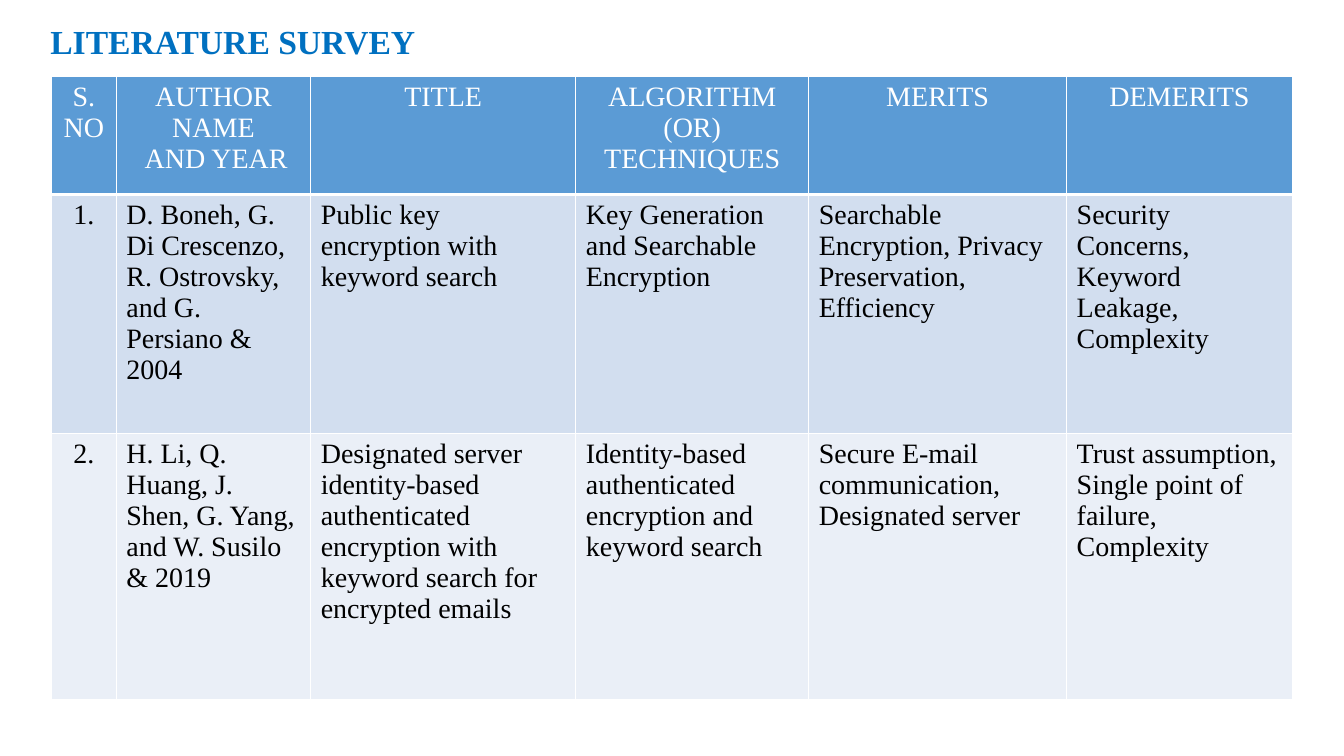
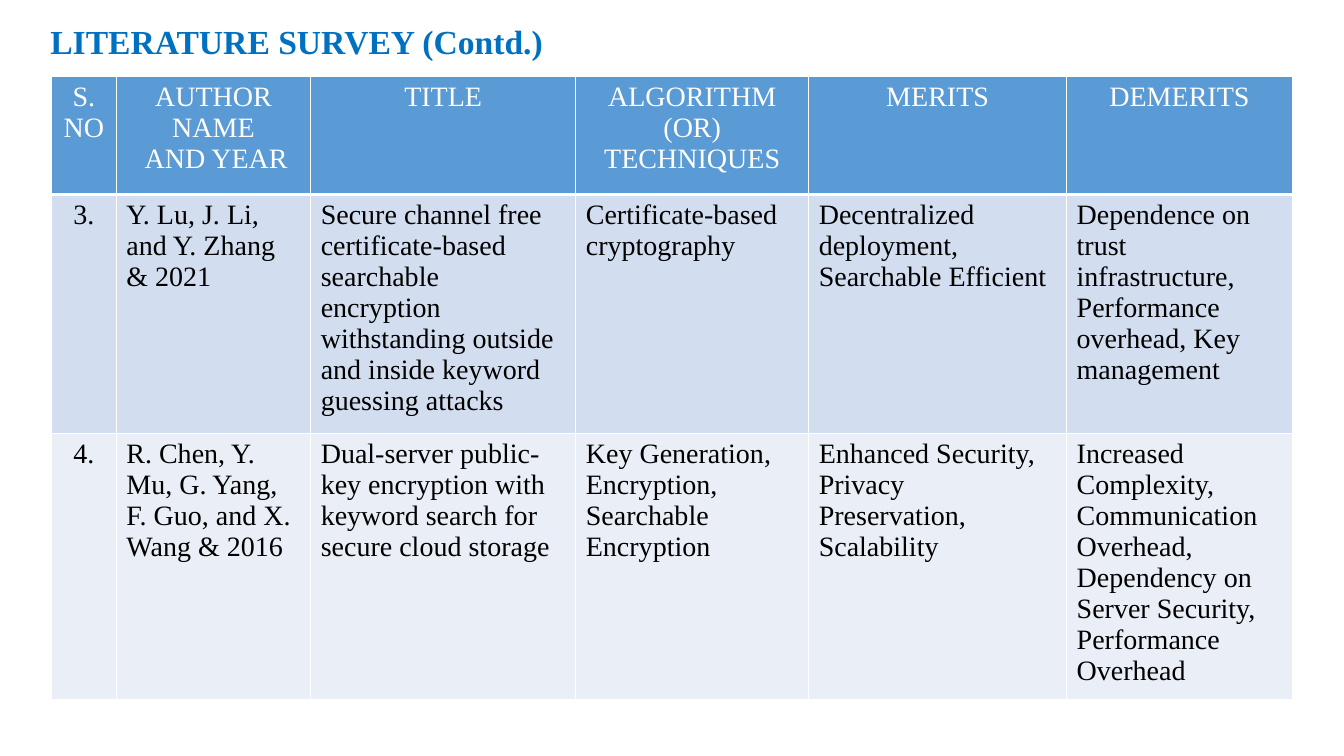
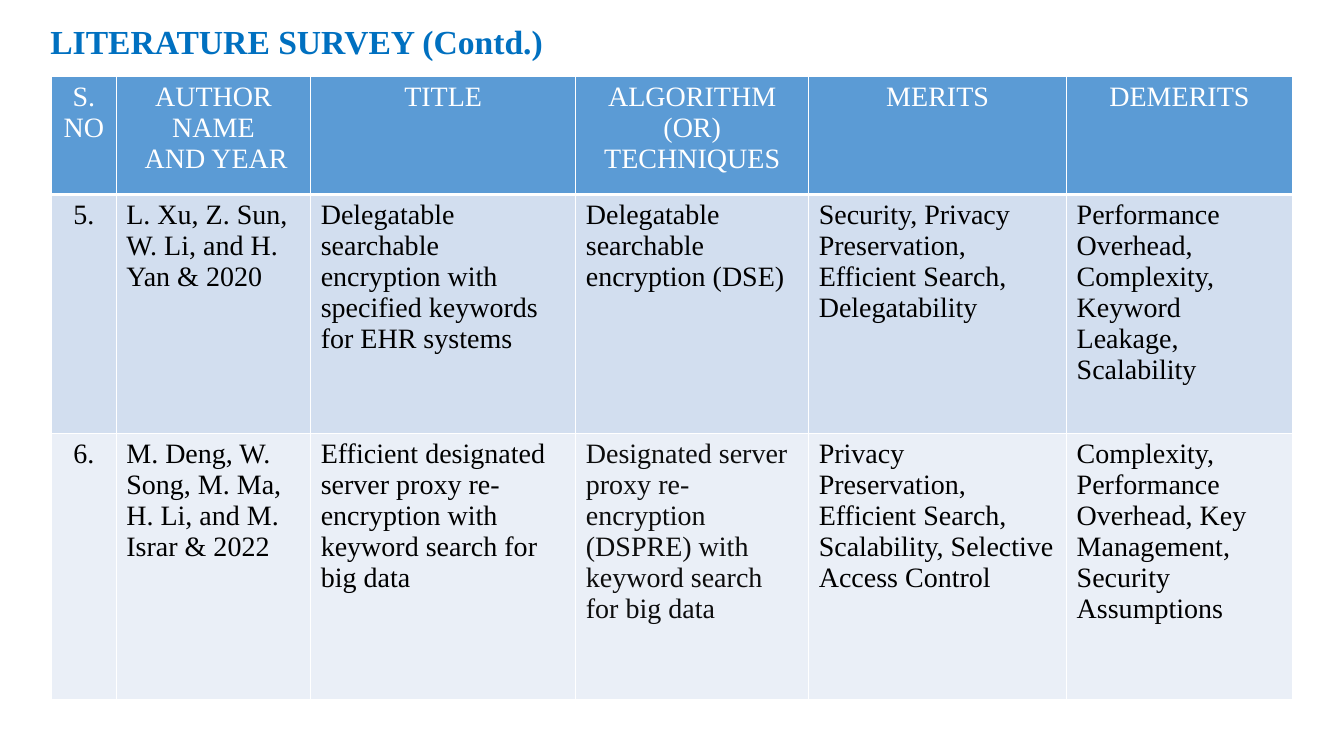
from lxml.etree import SubElement
from pptx import Presentation
from pptx.dml.color import RGBColor
from pptx.enum.text import MSO_AUTO_SIZE, PP_ALIGN
from pptx.oxml.ns import qn
from pptx.util import Cm, Pt

FONT = "Times New Roman"
TITLE_BLUE = RGBColor(0x00, 0x70, 0xC0)
HEADER_BLUE = RGBColor(0x5B, 0x9B, 0xD5)
BAND_DARK = RGBColor(0xD2, 0xDE, 0xEF)
BAND_LIGHT = RGBColor(0xEA, 0xEF, 0xF7)
WHITE = RGBColor(0xFF, 0xFF, 0xFF)
BLACK = RGBColor(0x00, 0x00, 0x00)
NEAR_BLACK = RGBColor(0x0D, 0x0D, 0x0D)

ROW_FILLS = [HEADER_BLUE, BAND_DARK, BAND_LIGHT]
ROW_HEIGHTS = [Cm(2.97), Cm(6.02), Cm(6.71)]
COLUMN_WIDTHS = [Cm(1.63), Cm(4.9), Cm(6.68), Cm(5.87), Cm(6.5), Cm(5.69)]
HEADERS = ["S. NO", "AUTHOR NAME\n AND YEAR", "TITLE",
           "ALGORITHM (OR)\nTECHNIQUES", "MERITS", "DEMERITS"]

# Title, title width, then the surveyed papers
SURVEY_SLIDES = [
    ("LITERATURE SURVEY", Cm(9.8), [
        ["1.",
         "D. Boneh, G. Di Crescenzo, R. Ostrovsky, and G. Persiano & 2004",
         "Public key encryption with keyword search",
         "Key Generation and Searchable Encryption",
         "Searchable Encryption, Privacy Preservation, Efficiency",
         "Security Concerns, Keyword Leakage, Complexity"],
        ["2.",
         "H. Li, Q. Huang, J. Shen, G. Yang, and W. Susilo & 2019",
         "Designated server identity-based authenticated encryption "
         "with keyword search for encrypted emails",
         "Identity-based authenticated encryption and keyword search",
         "Secure E-mail communication, Designated server",
         "Trust assumption, Single point of failure, Complexity"],
    ]),
    ("LITERATURE SURVEY (Contd.)", Cm(13.06), [
        ["3.",
         "Y. Lu, J. Li, and Y. Zhang & 2021",
         "Secure channel free certificate-based searchable encryption "
         "withstanding outside and inside keyword guessing attacks",
         "Certificate-based cryptography",
         "Decentralized deployment, Searchable Efficient",
         "Dependence on trust infrastructure, Performance overhead, "
         "Key management"],
        ["4.",
         "R. Chen, Y. Mu, G. Yang, F. Guo, and X. Wang & 2016",
         "Dual-server public-key encryption with keyword search "
         "for secure cloud storage",
         "Key Generation, Encryption, Searchable Encryption",
         "Enhanced Security, Privacy Preservation, Scalability",
         "Increased Complexity, Communication Overhead, "
         "Dependency on Server Security, Performance Overhead"],
    ]),
    ("LITERATURE SURVEY (Contd.)", Cm(13.06), [
        ["5.",
         "L. Xu, Z. Sun, W. Li, and H. Yan & 2020",
         "Delegatable searchable encryption with specified keywords "
         "for EHR systems",
         "Delegatable searchable encryption (DSE)",
         "Security, Privacy Preservation, Efficient Search, Delegatability",
         "Performance Overhead, Complexity, Keyword Leakage, Scalability"],
        ["6.",
         "M. Deng, W. Song, M. Ma, H. Li, and M. Israr & 2022",
         "Efficient designated server proxy re-encryption "
         "with keyword search for big data",
         "Designated server proxy re-encryption (DSPRE) "
         "with keyword search for big data",
         "Privacy Preservation, Efficient Search, Scalability, "
         "Selective Access Control",
         "Complexity, Performance Overhead, Key Management, "
         "Security Assumptions"],
    ]),
]


def set_font(paragraph, size, color, bold=False):
    font = paragraph.font
    font.name = FONT
    font.size = Pt(size)
    font.bold = bold
    font.color.rgb = color


def add_borders(cell, bottom_width):
    """Draw white cell borders; call before the cell is filled."""
    properties = cell._tc.get_or_add_tcPr()
    for side, width in (("L", 1), ("R", 1), ("T", 1), ("B", bottom_width)):
        line = SubElement(properties, qn(f"a:ln{side}"), w=str(Pt(width)))
        fill = SubElement(line, qn("a:solidFill"))
        SubElement(fill, qn("a:srgbClr"), val=str(WHITE))


presentation = Presentation()
presentation.slide_width = Cm(33.87)
presentation.slide_height = Cm(19.05)
blank_layout = presentation.slide_layouts[6]

for title, title_width, papers in SURVEY_SLIDES:
    slide = presentation.slides.add_slide(blank_layout)

    title_box = slide.shapes.add_textbox(Cm(1.02), Cm(0.41), title_width, Cm(2.31))
    title_frame = title_box.text_frame
    title_frame.word_wrap = False
    title_frame.auto_size = MSO_AUTO_SIZE.NONE
    title_frame.text = title
    set_font(title_frame.paragraphs[0], 24, TITLE_BLUE, bold=True)

    rows = [HEADERS] + papers
    table = slide.shapes.add_table(
        len(rows), len(HEADERS), Cm(1.3), Cm(1.93),
        sum(COLUMN_WIDTHS), sum(ROW_HEIGHTS)).table
    for column, width in zip(table.columns, COLUMN_WIDTHS):
        column.width = width

    for row_index, texts in enumerate(rows):
        table.rows[row_index].height = ROW_HEIGHTS[row_index]
        is_header = row_index == 0
        for column_index, text in enumerate(texts):
            cell = table.cell(row_index, column_index)
            add_borders(cell, bottom_width=3 if is_header else 1)
            cell.fill.solid()
            cell.fill.fore_color.rgb = ROW_FILLS[row_index]
            cell.text = text
            if is_header:
                color = WHITE
            else:
                color = NEAR_BLACK if "DSPRE" in text else BLACK
            centered = is_header or column_index == 0
            for paragraph in cell.text_frame.paragraphs:
                paragraph.alignment = PP_ALIGN.CENTER if centered else PP_ALIGN.LEFT
                set_font(paragraph, 20, color)

presentation.save("out.pptx")
